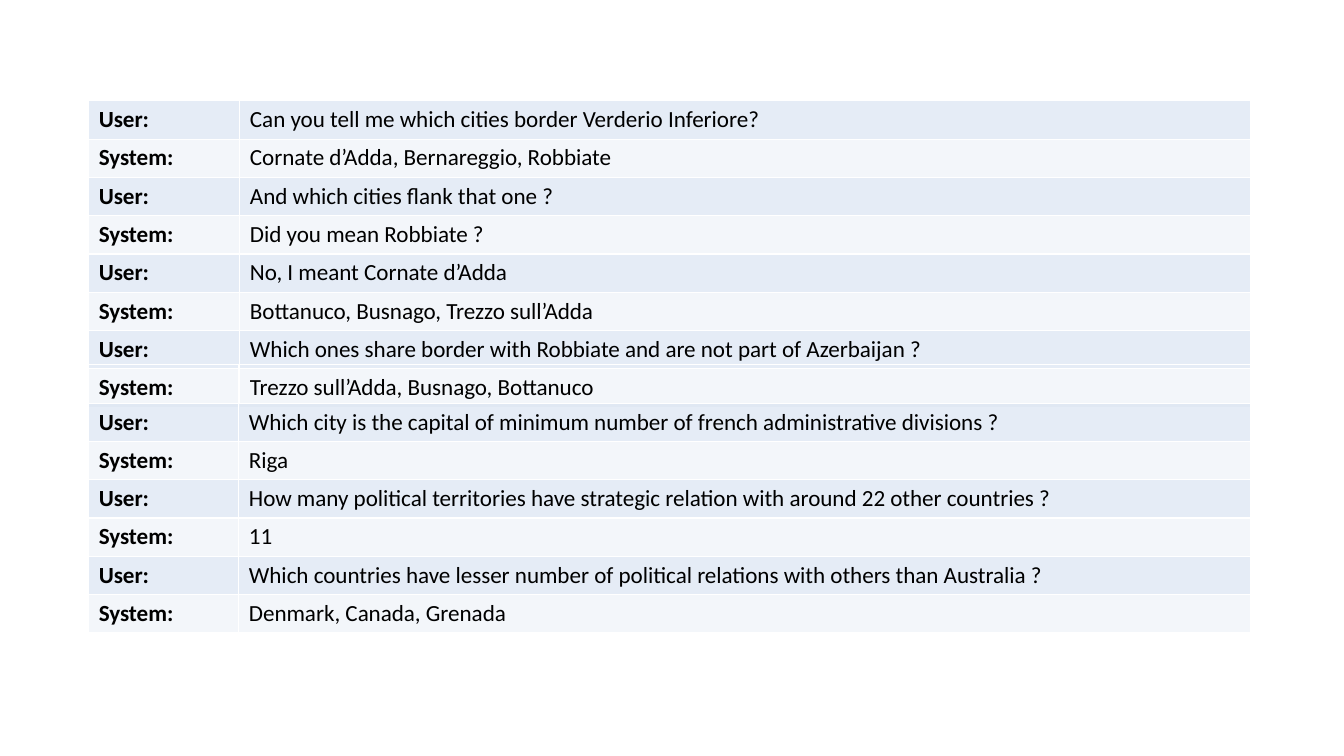
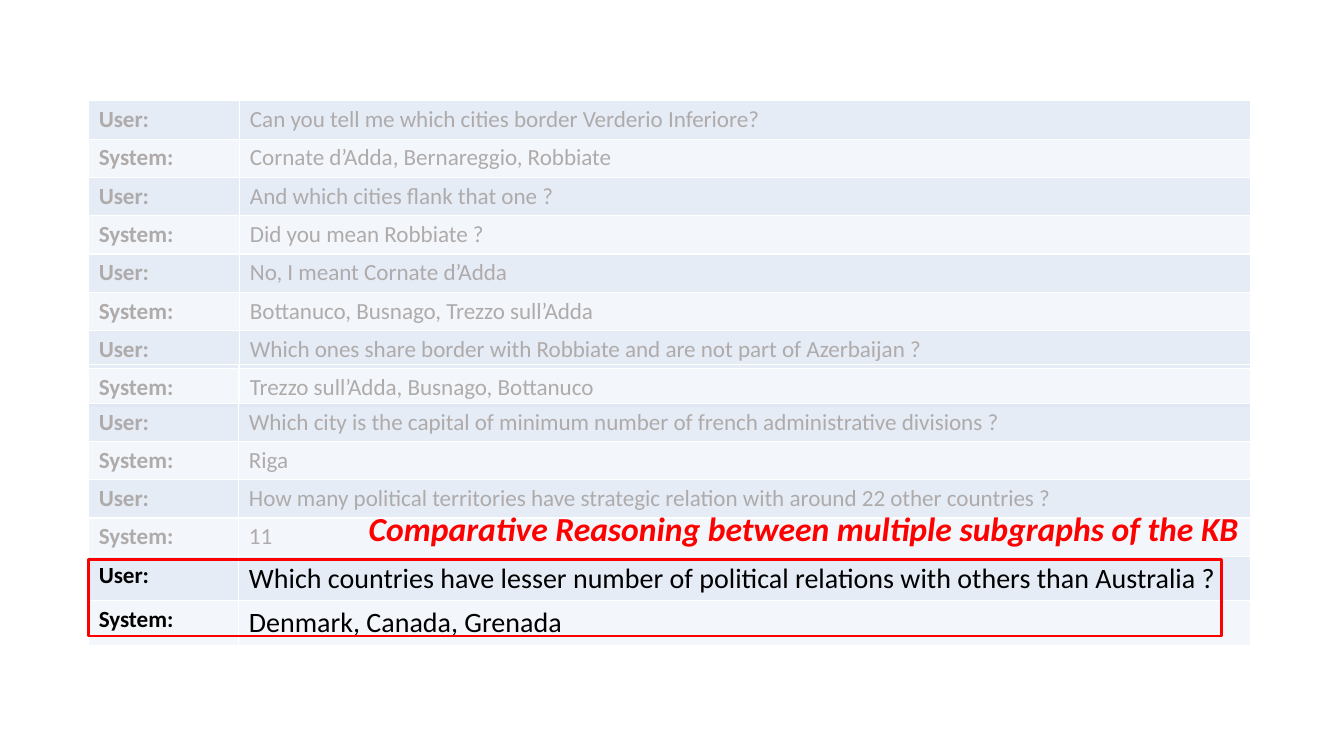
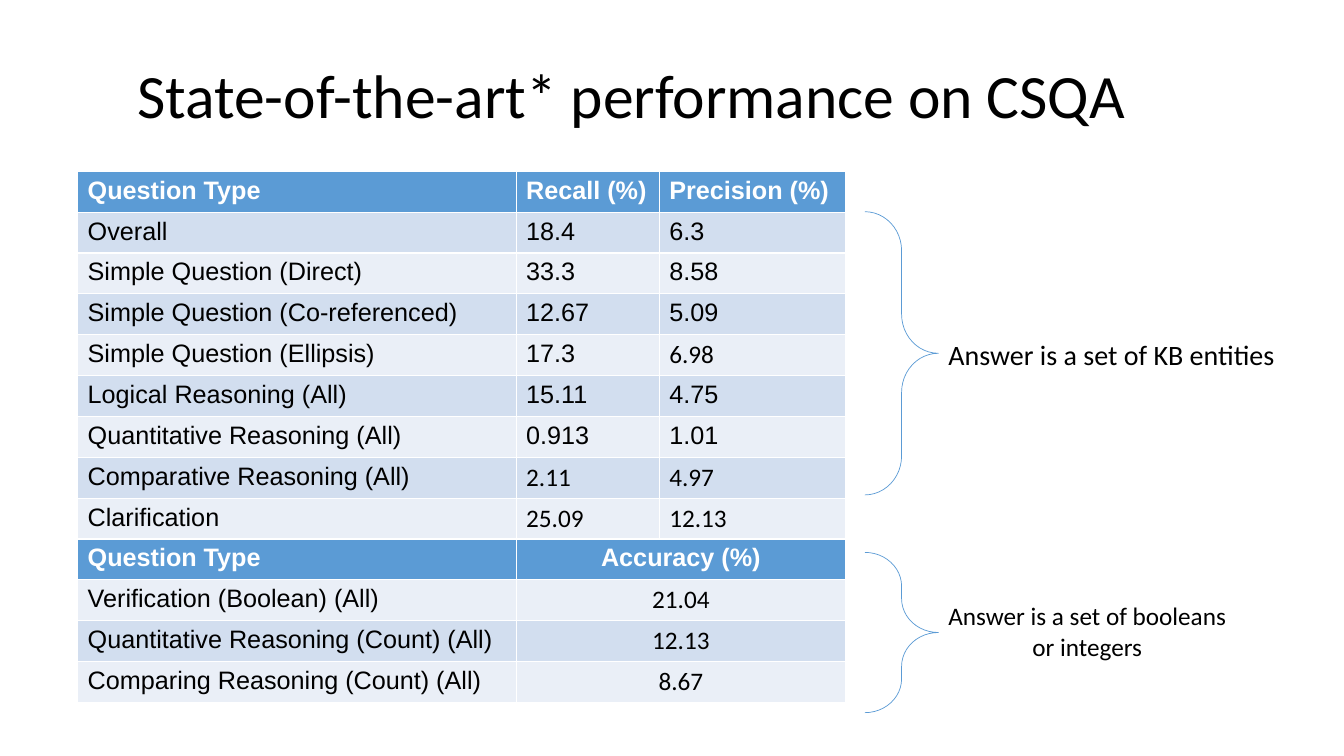
import pptx
import pptx.dml.color
import pptx.enum.shapes
import pptx.enum.text
import pptx.oxml
import pptx.oxml.ns
import pptx.util

EMU_PER_PX = 9144  # 100 px to the inch
COLORS = {
    "text": "000000",
    "muted": "AFABAB",
    "accent": "5B9BD5",
    "band_dark": "D2DEEF",
    "band_light": "EAEFF7",
    "white": "FFFFFF",
    "alert": "FF0000",
}
BODY_FONT = "Calibri"
TABLE_FONT = "Arial"
TITLE_ONLY, BLANK = 5, 6
CENTER = pptx.enum.text.PP_ALIGN.CENTER

BORDER_TURNS = [
    "Can you tell me which cities border Verderio Inferiore?",
    "Cornate d’Adda, Bernareggio, Robbiate",
    "And which cities flank that one ?",
    "Did you mean Robbiate ?",
    "No, I meant Cornate d’Adda",
    "Bottanuco, Busnago, Trezzo sull’Adda",
    "Which ones share border with Robbiate and are not part of Azerbaijan ?",
    "Trezzo sull’Adda, Busnago, Bottanuco",
]
COUNTRY_TURNS = [
    "Which city is the capital of minimum number of french administrative divisions ?",
    "Riga",
    "How many political territories have strategic relation with around 22 other countries ?",
    "11",
    "Which countries have lesser number of political relations with others than Australia ?",
    "Denmark, Canada, Grenada",
]
RESULTS = [
    ("Question Type", "Recall (%)", "Precision (%)"),
    ("Overall", "18.4", "6.3"),
    ("Simple Question (Direct)", "33.3", "8.58"),
    ("Simple Question (Co-referenced)", "12.67", "5.09"),
    ("Simple Question (Ellipsis)", "17.3", "6.98"),
    ("Logical Reasoning (All)", "15.11", "4.75"),
    ("Quantitative Reasoning (All)", "0.913", "1.01"),
    ("Comparative Reasoning (All)", "2.11", "4.97"),
    ("Clarification", "25.09", "12.13"),
    ("Question Type", "Accuracy (%)"),
    ("Verification (Boolean) (All)", "21.04"),
    ("Quantitative Reasoning (Count) (All)", "12.13"),
    ("Comparing Reasoning (Count) (All)", "8.67"),
]
BODY_FONT_CELLS = {(4, 2), (7, 1), (7, 2), (8, 1), (8, 2), (10, 1), (11, 1), (12, 1)}


def px(length):
    return pptx.util.Emu(round(length * EMU_PER_PX))


def rgb(name):
    return pptx.dml.color.RGBColor.from_string(COLORS[name])


def add_span(para, text, size, color="text", font=BODY_FONT, bold=False, italic=False):
    span = para.add_run()
    span.text = text
    span.font.name = font
    span.font.size = pptx.util.Pt(size)
    span.font.bold = bold
    span.font.italic = italic
    span.font.color.rgb = rgb(color)


def fill_cell(cell, color, opacity=100):
    cell.fill.solid()
    cell.fill.fore_color.rgb = rgb(color)
    if opacity < 100:
        tint = cell.fill.fore_color._xFill.find(pptx.oxml.ns.qn("a:srgbClr"))
        alpha = pptx.oxml.parse_xml(
            "<a:alpha %s val='%d'/>" % (pptx.oxml.ns.nsdecls("a"), opacity * 1000))
        tint.append(alpha)


def band_color(row):
    return "band_dark" if row % 2 else "band_light"


def add_grid(page, left, top, widths, heights):
    frame = page.shapes.add_table(len(heights), len(widths), px(left), px(top),
                                  px(sum(widths)), px(sum(heights)))
    grid = frame.table
    for column, width in zip(grid.columns, widths):
        column.width = px(width)
    for row, height in zip(grid.rows, heights):
        row.height = px(height)
    return grid


def add_dialogue(page, left, top, widths, turns, color="text", highlighted=0):
    """Alternate user and system turns below an empty row; the last ones may stand out."""
    size, large = 16.5, 20
    first_highlight = len(turns) - highlighted + 1
    heights = [38] * first_highlight + [44] * highlighted
    grid = add_grid(page, left, top, widths, heights)
    for cell in grid.rows[0].cells:
        cell.fill.background()
        end = cell.text_frame.paragraphs[0]._p.get_or_add_endParaRPr()
        end.set("sz", str(int(size * 100)))
    for row, turn in enumerate(turns, start=1):
        stands_out = row >= first_highlight
        ink = "text" if stands_out else color
        speaker, speech = grid.rows[row].cells
        add_span(speaker.text_frame.paragraphs[0], "User:" if row % 2 else "System:",
                 size, ink, bold=True)
        add_span(speech.text_frame.paragraphs[0], turn, large if stands_out else size, ink)
        for cell in (speaker, speech):
            fill_cell(cell, band_color(row), opacity=56)


def add_conversation(page, left, top, color="text", highlighted=0):
    add_dialogue(page, left, top, [150, 1003], BORDER_TURNS, color)
    add_dialogue(page, left, top + 300, [149, 1004], COUNTRY_TURNS, color, highlighted)


def add_outline(page, preset, left, top, width, height, color, weight):
    shape = page.shapes.add_shape(preset, px(left), px(top), px(width), px(height))
    shape.shadow.inherit = False
    shape.fill.background()
    shape.line.color.rgb = rgb(color)
    shape.line.width = pptx.util.Pt(weight)
    return shape


def add_label(page, left, top, width, height, lines, size, wrap=False, **style):
    """Write one paragraph a line; lines after the first are centred."""
    box = page.shapes.add_textbox(px(left), px(top), px(width), px(height))
    frame = box.text_frame
    frame.word_wrap = wrap
    frame.auto_size = pptx.enum.text.MSO_AUTO_SIZE.SHAPE_TO_FIT_TEXT
    for index, line in enumerate(lines):
        para = frame.add_paragraph() if index else frame.paragraphs[0]
        if index:
            para.alignment = CENTER
        add_span(para, line, size, **style)


def add_results(page, left, top, height):
    grid = add_grid(page, left, top, [435, 142, 185], [height / len(RESULTS)] * len(RESULTS))
    for row, texts in enumerate(RESULTS):
        is_header = texts[0] == "Question Type"
        is_merged = len(texts) == 2
        for cell in grid.rows[row].cells:
            fill_cell(cell, "accent" if is_header else band_color(row))
        if is_merged:
            grid.cell(row, 1).merge(grid.cell(row, 2))
        for column, text in enumerate(texts):
            para = grid.cell(row, column).text_frame.paragraphs[0]
            if is_merged and column:
                para.alignment = CENTER
            add_span(para, text, 18, "white" if is_header else "text",
                     BODY_FONT if (row, column) in BODY_FONT_CELLS else TABLE_FONT,
                     bold=is_header)


def add_brace(page, left, top, height, curl):
    brace = add_outline(page, pptx.enum.shapes.MSO_SHAPE.RIGHT_BRACE,
                        left, top, 73, height, "accent", 0.5)
    brace.adjustments[0] = curl
    brace.adjustments[1] = 0.5


def set_title(page, text, left, top, width, height):
    title = page.shapes.title
    title.left, title.top, title.width, title.height = map(px, (left, top, width, height))
    title.text_frame.vertical_anchor = pptx.enum.text.MSO_ANCHOR.MIDDLE
    para = title.text_frame.paragraphs[0]
    para.alignment = CENTER
    para.line_spacing = 0.9
    add_span(para, text, 44)


def build_conversation_page(page):
    add_conversation(page, 88, 62)


def build_reasoning_page(page):
    add_conversation(page, 88, 62, color="muted", highlighted=2)
    add_outline(page, pptx.enum.shapes.MSO_SHAPE.RECTANGLE, 88, 555, 1124, 76, "alert", 2)
    add_label(page, 356, 499, 978, 50,
              ["Comparative Reasoning between multiple subgraphs of the KB"], 24,
              wrap=True, color="alert", bold=True, italic=True)


def build_results_page(page):
    set_title(page, "State-of-the-art* performance on CSQA", 0, 25, 1254, 145)
    add_results(page, 77, 170, 527)
    add_brace(page, 858, 210, 281, 0.53)
    add_label(page, 931, 330, 348, 44, ["Answer is a set of KB entities"], 20)
    add_brace(page, 858, 548, 159, 0.46)
    add_label(page, 931, 591, 305, 71, ["Answer is a set of booleans", "or integers"], 18)


def main():
    deck = pptx.Presentation()
    deck.slide_width, deck.slide_height = pptx.util.Emu(12192000), px(750)
    for layout, build in ((BLANK, build_conversation_page),
                          (BLANK, build_reasoning_page),
                          (TITLE_ONLY, build_results_page)):
        build(deck.slides.add_slide(deck.slide_layouts[layout]))
    deck.save("out.pptx")


if __name__ == "__main__":
    main()
